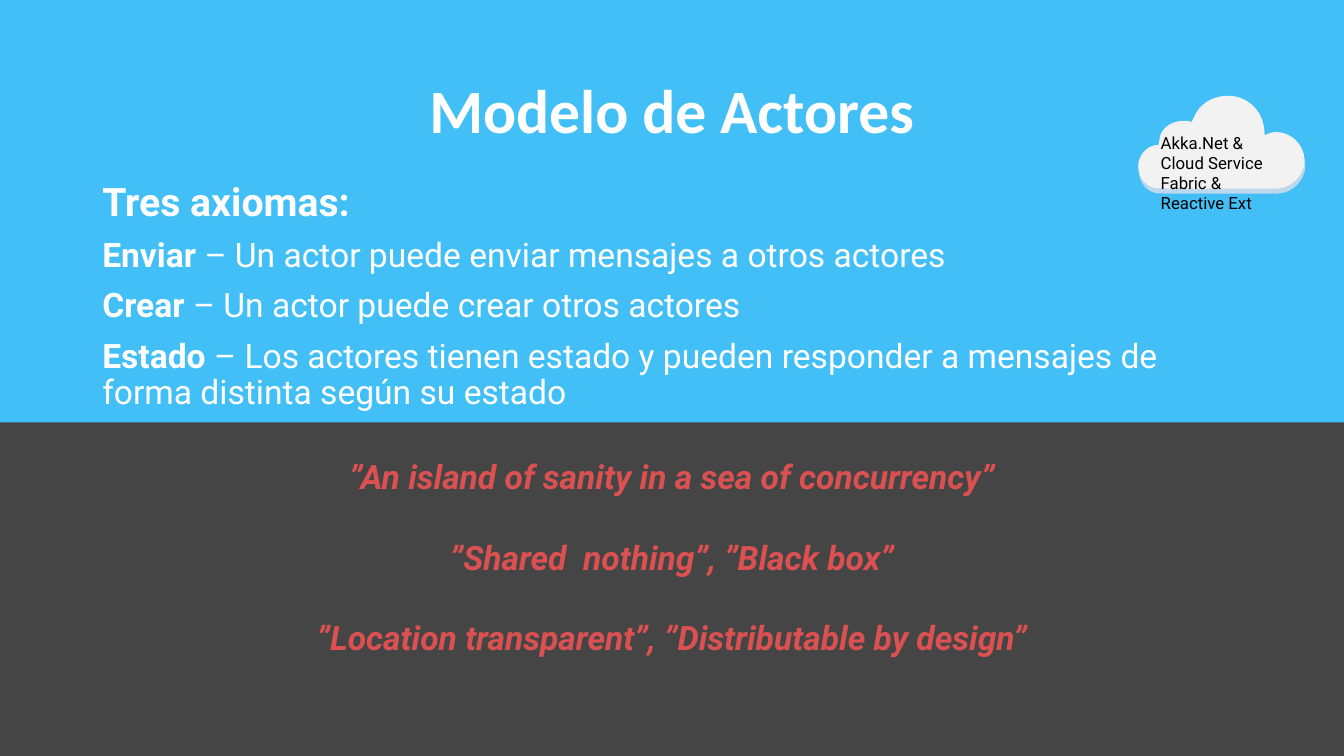
from pptx import Presentation
from pptx.dml.color import RGBColor as Rgb
from pptx.enum.shapes import MSO_SHAPE as Kind
from pptx.enum.text import MSO_ANCHOR as Anchor, PP_ALIGN as Align
from pptx.oxml.ns import qn
from pptx.util import Emu, Pt
from lxml.etree import SubElement as Sub

COLORS = {"sky": "43BFF7", "dark": "454545", "white": "FFFFFF", "red": "DB5151",
          "shade": "BDD7EE", "cloud": "F2F2F2", "black": "000000"}
CELL = 762000
COLS, ROWS = 16, 9
LEFT, WIDE = 1.1, 13.8

CLOUD = [
    [(89, 0)],
    [(109, 0), (125, 16), (125, 36)],
    [(125, 39)],
    [(126, 39)],
    [(130, 37), (133, 36), (137, 36)],
    [(152, 36), (165, 49), (165, 64)],
    [(165, 79), (152, 92), (137, 92)],
    [(24, 92)],
    [(24, 91)],
    [(21, 92)],
    [(9, 92), (0, 82), (0, 70)],
    [(0, 60), (7, 51), (17, 49)],
    [(20, 49)],
    [(22, 39)],
    [(25, 31), (34, 25), (44, 25)],
    [(46, 25), (47, 25), (49, 25)],
    [(53, 26)],
    [(55, 22)],
    [(60, 9), (73, 0), (89, 0)],
]
AXIOMS = [
    ("Enviar ", "– Un actor puede enviar mensajes a otros actores"),
    ("Crear ", "– Un actor puede crear otros actores"),
    ("Estado ", "– Los actores tienen estado y pueden responder a mensajes "
                "de forma distinta según su estado"),
]
QUOTES = ["”An island of sanity in a sea of concurrency”",
          "”Shared  nothing”, ”Black box”",
          "”Location transparent”, ”Distributable by design”"]


class Deck:
    """Holds the style and the current slide, measured in grid cells."""

    def __init__(self):
        self.prs = Presentation()
        self.prs.slide_width, self.prs.slide_height = self.span(COLS, ROWS)
        self.slide = self.prs.slides.add_slide(self.prs.slide_layouts[6])
        self.shapes = self.slide.shapes

    def span(self, *cells):
        return [Emu(round(cell * CELL)) for cell in cells]

    def back(self, color):
        self.paint(self.slide.background.fill, color)

    def paint(self, fill, color):
        fill.solid()
        fill.fore_color.rgb = Rgb.from_string(COLORS[color])

    def finish(self, shape, color):
        self.paint(shape.fill, color)
        shape.line.fill.background()
        shape.shadow.inherit = False

    def panel(self, box, color):
        self.finish(self.shapes.add_shape(Kind.RECTANGLE, *self.span(*box)), color)

    def cloud(self, x, y, color):
        points = [self.span(x + px * 0.012, y + py * 0.012)
                  for part in CLOUD for px, py in part]
        pen = self.shapes.build_freeform(*points[0], scale=1.0)
        pen.add_line_segments(points[1:], close=True)
        shape = pen.convert_to_shape()
        self.bend(shape)
        self.finish(shape, color)

    def bend(self, shape):
        lines = iter(list(shape.element.iter(qn("a:lnTo"))))
        for part in CLOUD[1:]:
            group = [next(lines) for _ in part]
            if len(group) == 3:
                outline = group[0].getparent()
                curve = Sub(outline, qn("a:cubicBezTo"))
                outline.replace(group[0], curve)
                for line in group:
                    curve.append(line[0])
                for line in group[1:]:
                    outline.remove(line)

    def frame(self, box, anchor=Anchor.TOP):
        frame = self.shapes.add_textbox(*self.span(*box)).text_frame
        frame.word_wrap = True
        frame.vertical_anchor = anchor
        return frame

    def line(self, frame, text, size, color="white", face="Roboto", bold=None,
             italic=None, align=Align.LEFT, lead=1.0, gap=0):
        para = frame.paragraphs[0]
        if para.runs:
            para = frame.add_paragraph()
            para.space_before = Pt(gap)
        para.text = text
        para.alignment, para.line_spacing = align, lead
        font = para.font
        font.name, font.size, font.bold, font.italic = face, Pt(size), bold, italic
        font.color.rgb = Rgb.from_string(COLORS[color])
        return para


def main():
    deck = Deck()
    deck.back("dark")
    deck.panel((0, 0, COLS, 5.03), "sky")

    title = deck.frame((LEFT, 0.48, WIDE, 1.74), Anchor.MIDDLE)
    deck.line(title, "Modelo de Actores", 44, face="Calibri", bold=True,
              align=Align.CENTER, lead=0.9)

    body = deck.frame((LEFT, 2.11, WIDE, 2.92))
    deck.line(body, "Tres axiomas:", 28, bold=True, lead=0.9)
    for name, rule in AXIOMS:
        para = deck.line(body, name, 24, lead=0.9, gap=10)
        para.runs[0].font.bold = True
        para.add_run().text = rule

    quotes = deck.frame((LEFT, 5.37, WIDE, 2.9))
    for quote in QUOTES:
        deck.line(quotes, quote, 24, "red", bold=True, italic=True,
                  align=Align.CENTER, gap=28.7)

    deck.cloud(13.56, 1.2, "shade")
    deck.cloud(13.55, 1.14, "cloud")
    label = deck.frame((13.7, 1.52, 1.76, 0.85))
    label.margin_right = Pt(15)
    deck.line(label, "Akka.Net & Cloud Service Fabric &\vReactive Ext", 12, "black")

    deck.prs.save("out.pptx")


if __name__ == "__main__":
    main()
